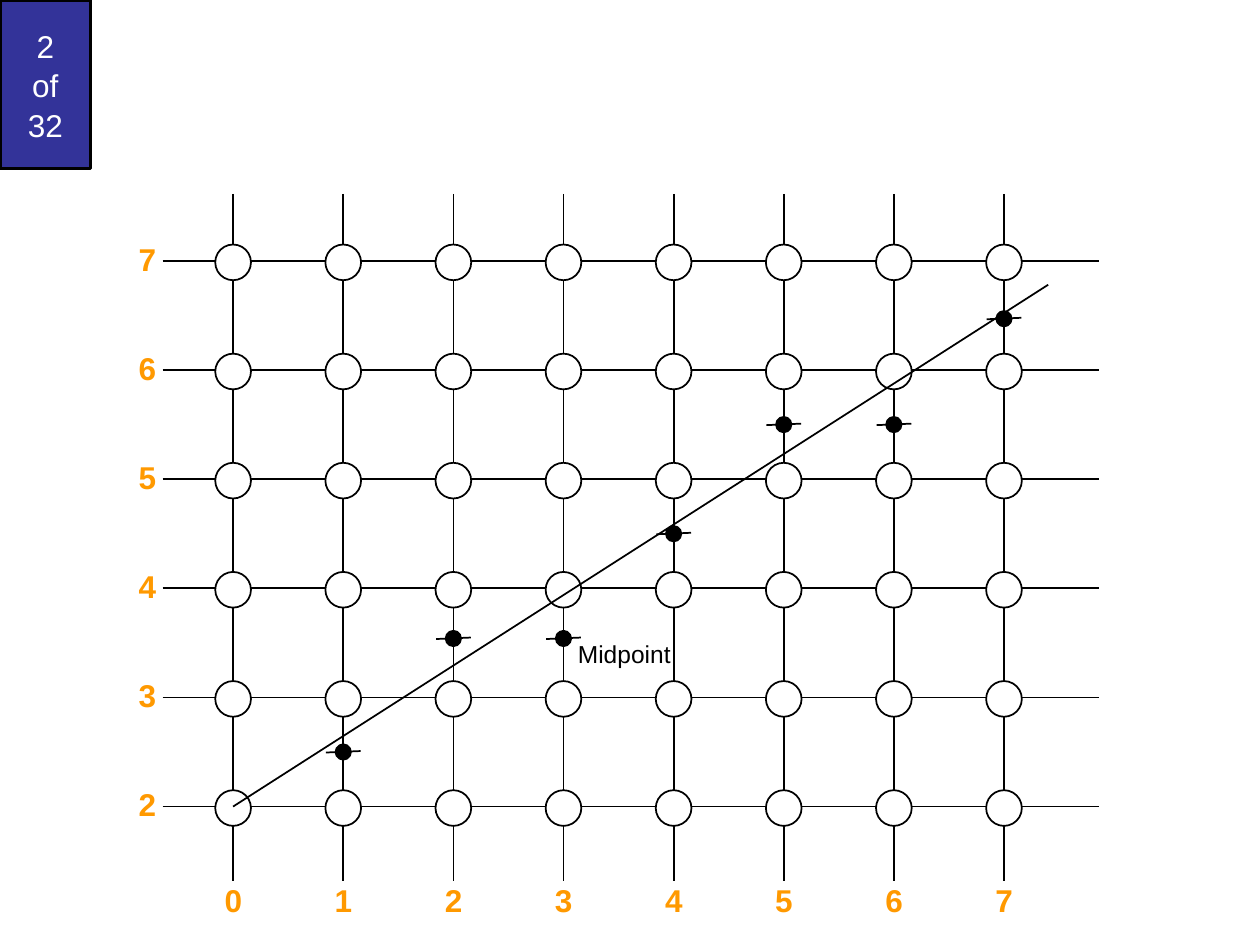
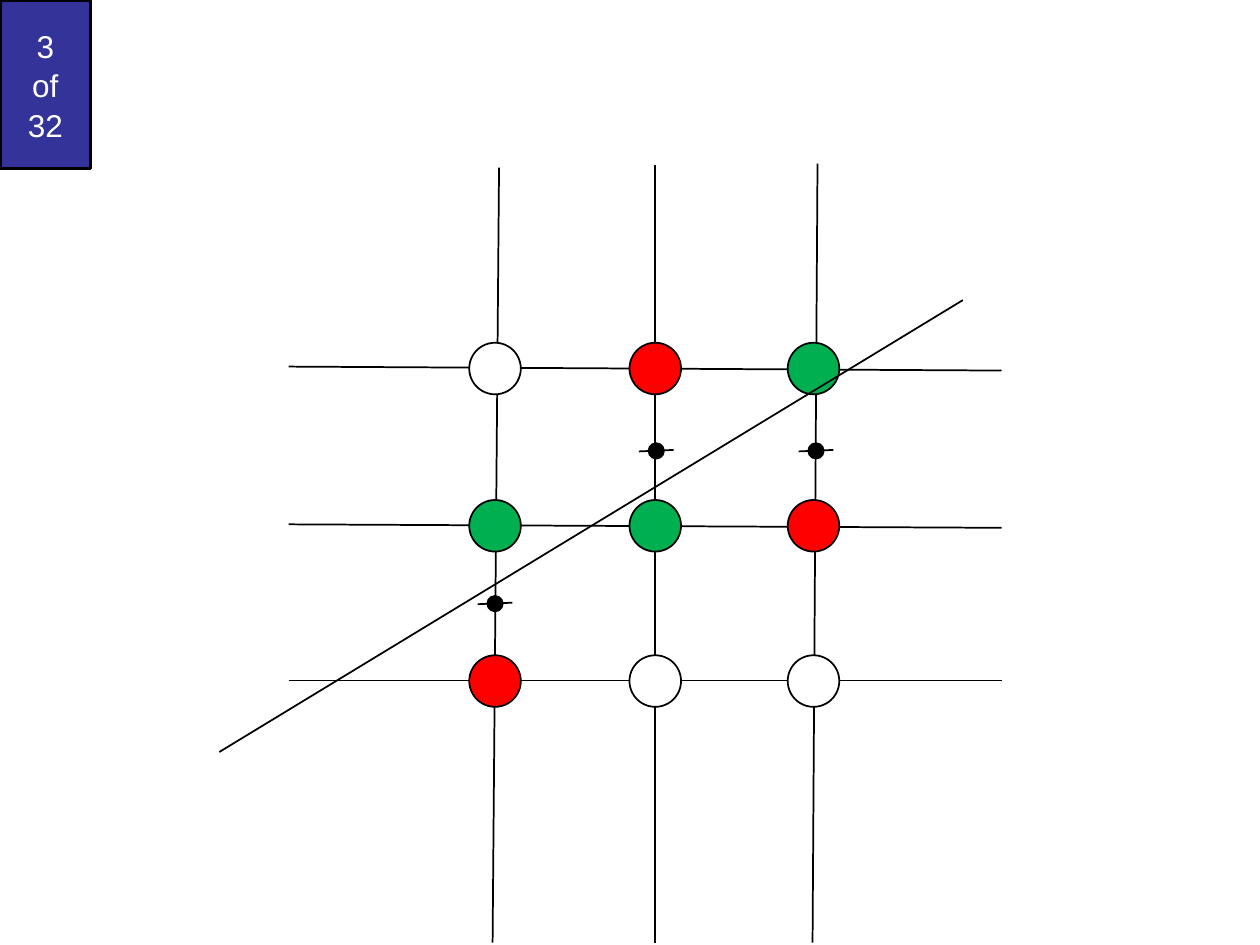
from dataclasses import dataclass
from itertools import product

from lxml import etree
from pptx import Presentation
from pptx import util as u
from pptx.dml.color import RGBColor
from pptx.enum import shapes, text
from pptx.oxml.ns import qn

BLACK = RGBColor(0x00, 0x00, 0x00)
WHITE = RGBColor(0xFF, 0xFF, 0xFF)
NAVY = RGBColor(0x33, 0x33, 0x99)
ORANGE = RGBColor(0xFF, 0x99, 0x00)
GREEN = RGBColor(0x00, 0xB0, 0x50)
RED = RGBColor(0xFF, 0x00, 0x00)

FONT = "Arial"
PAGE_TOTAL = 32
DOT_SIZE = 0.31
TICK_WIDTH = 0.7


@dataclass
class Box:
    """A region of the page, in centimetres."""
    left: float
    top: float
    width: float
    height: float

    def at(self, x, y):
        return self.left + x, self.top + y


# Shared drawing parts
def add_line(page, box, start, end):
    (x1, y1), (x2, y2) = box.at(*start), box.at(*end)
    line = page.shapes.add_connector(
        shapes.MSO_CONNECTOR.STRAIGHT, u.Cm(x1), u.Cm(y1), u.Cm(x2), u.Cm(y2))
    line.line.color.rgb = BLACK
    line.line.width = u.Pt(1)
    etree.SubElement(line._element.spPr, qn("a:effectLst"))


def add_solid(page, kind, box, fill, line_width=1):
    solid = page.shapes.add_shape(
        kind, u.Cm(box.left), u.Cm(box.top), u.Cm(box.width), u.Cm(box.height))
    solid.shadow.inherit = False
    solid.fill.solid()
    solid.fill.fore_color.rgb = fill
    solid.line.color.rgb = BLACK
    solid.line.width = u.Pt(line_width)
    return solid


def add_circle(page, box, centre, size, fill):
    x, y = box.at(*centre)
    add_solid(page, shapes.MSO_SHAPE.OVAL,
              Box(x - size / 2, y - size / 2, size, size), fill)


def add_midpoint(page, box, centre):
    x, y = centre
    add_line(page, box, (x - TICK_WIDTH / 2, y + 0.01),
             (x + TICK_WIDTH / 2, y - 0.02))
    add_circle(page, box, centre, DOT_SIZE, BLACK)


def add_span(para, words, size, color, bold=False):
    span = para.add_run()
    span.text = words
    span.font.name = FONT
    span.font.size = u.Pt(size)
    span.font.bold = bold
    span.font.color.rgb = color


def add_label(page, box, words, size, color, align, bold=False):
    label = page.shapes.add_textbox(
        u.Cm(box.left), u.Cm(box.top), u.Cm(box.width), u.Cm(box.height))
    label.text_frame.word_wrap = False
    para = label.text_frame.paragraphs[0]
    para.alignment = align
    add_span(para, words, size, color, bold)


def add_axis_number(page, box, corner, number):
    add_label(page, Box(*box.at(*corner), 0.86, 1.02), str(number), 18,
              ORANGE, text.PP_ALIGN.RIGHT, bold=True)


def add_page_badge(page, box, number):
    badge = add_solid(page, shapes.MSO_SHAPE.RECTANGLE, box, NAVY, 2)
    frame = badge.text_frame
    frame.word_wrap = True
    frame.vertical_anchor = text.MSO_ANCHOR.MIDDLE
    para = frame.paragraphs[0]
    para.alignment = text.PP_ALIGN.CENTER
    para.line_spacing = 1.05
    for index, words in enumerate((str(number), "of", str(PAGE_TOTAL))):
        if index:
            para.add_line_break()
        add_span(para, words, 18, WHITE)


# Pixel grid with numbered axes
def draw_numbered_grid(page, box):
    columns, rows = range(8), range(2, 8)

    def column_x(column):
        return 1.42 + 2.22 * column

    def row_y(row):
        return 1.35 + 2.2 * (rows[-1] - row)

    for row in rows:
        add_line(page, box, (0, row_y(row)), (box.width, row_y(row)))
        add_axis_number(page, box, (-0.74, row_y(row) - 0.55), row)
    for column in columns:
        x = column_x(column)
        add_line(page, box, (x, 0), (x, box.height))
        add_axis_number(page, box, (x - 0.43, 13.72), column)
    for column, row in product(columns, rows):
        add_circle(page, box, (column_x(column), row_y(row) + 0.03), 0.72, WHITE)

    add_line(page, box, (column_x(0), row_y(2)), (17.85, 1.83))
    midpoint_levels = (2.5, 3.54, 3.54, 4.5, 5.5, 5.5, 6.47)
    for column, level in enumerate(midpoint_levels, start=1):
        add_midpoint(page, box, (column_x(column), row_y(level)))
    add_label(page, Box(*box.at(8.12, 8.84), 2.39, 0.86), "Midpoint", 14,
              BLACK, text.PP_ALIGN.LEFT)


# Close-up with the chosen and rejected pixels
def draw_pixel_choice(page, box):
    for left_y, right_y in ((4.09, 4.17), (7.27, 7.34), (10.42, 10.42)):
        add_line(page, box, (0, left_y), (box.width, right_y))
    for top_x, top_y, bottom_x in ((4.24, 0.08, 4.11), (7.39, 0.03, 7.39),
                                   (10.66, 0, 10.56)):
        add_line(page, box, (top_x, top_y), (bottom_x, box.height))

    pixel_rows = (
        (4.13, (WHITE, RED, GREEN)),
        (7.3, (GREEN, GREEN, RED)),
        (10.43, (RED, WHITE, WHITE)),
    )
    for y, fills in pixel_rows:
        for x, fill in zip((4.16, 7.39, 10.58), fills):
            add_circle(page, box, (x, y), 1.04, fill)

    add_line(page, box, (-1.4, 11.86), (13.59, 2.75))
    for centre in ((4.16, 8.87), (7.41, 5.79), (10.63, 5.79)):
        add_midpoint(page, box, centre)


def main():
    deck = Presentation()
    deck.slide_width, deck.slide_height = u.Cm(25.4), u.Cm(19.05)
    blank_layout = deck.slide_layouts[6]
    pages = (
        (draw_numbered_grid, Box(3.28, 3.91, 18.87, 13.84)),
        (draw_pixel_choice, Box(5.82, 3.3, 14.37, 15.7)),
    )
    for number, (draw_diagram, box) in enumerate(pages, start=2):
        page = deck.slides.add_slide(blank_layout)
        add_page_badge(page, Box(0, 0, 1.83, 3.4), number)
        draw_diagram(page, box)
    deck.save("out.pptx")


if __name__ == "__main__":
    main()
